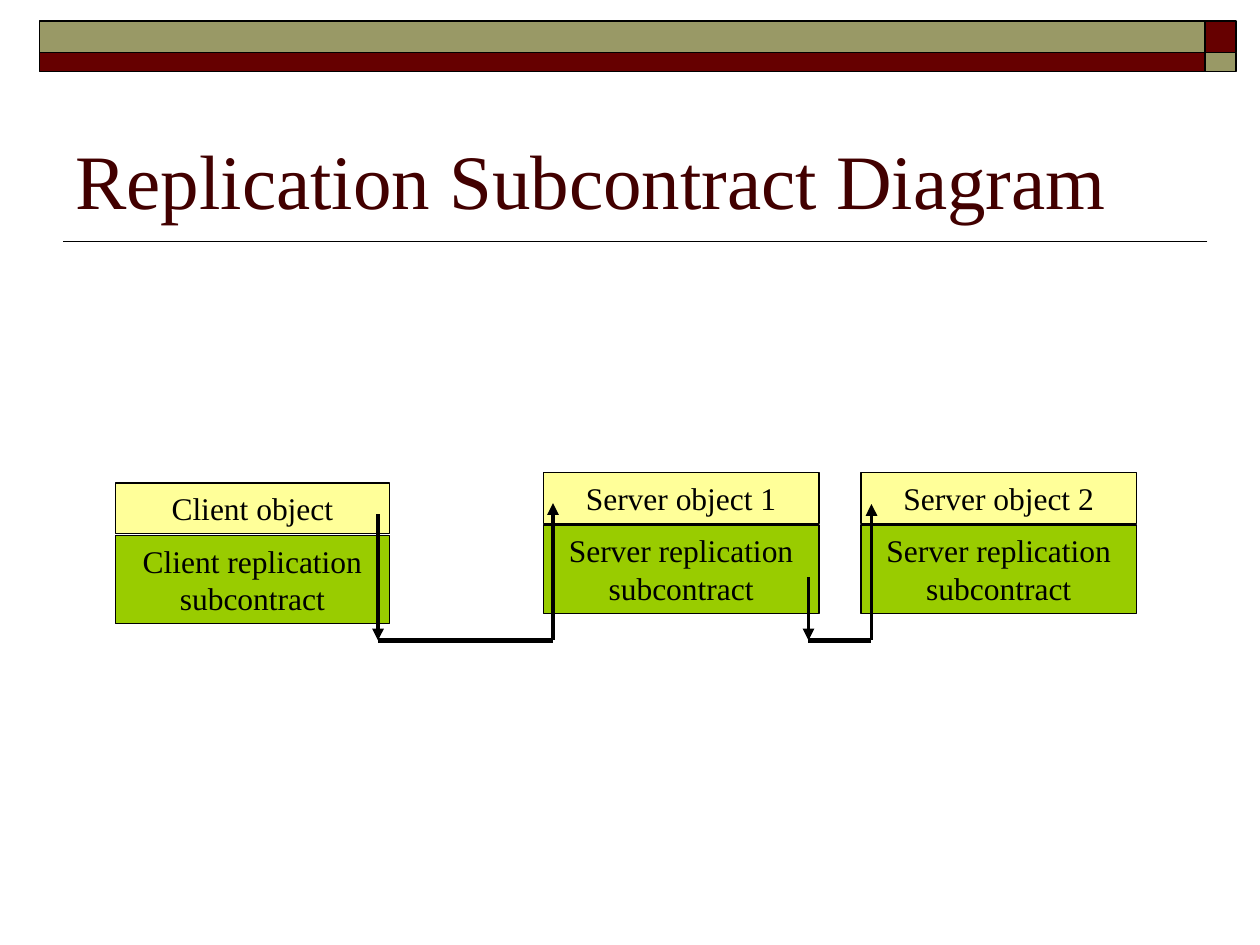
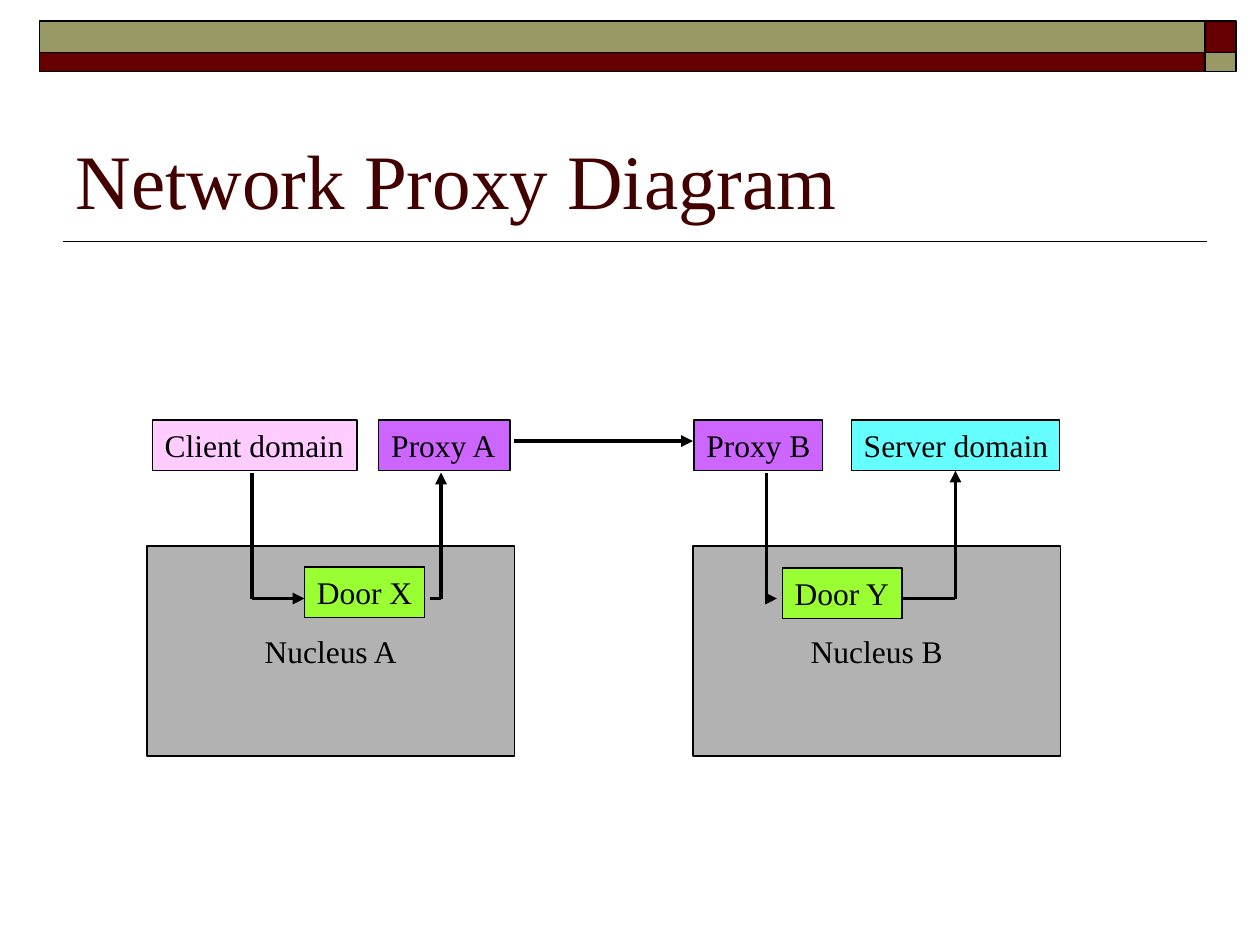
from dataclasses import dataclass

from lxml import etree
from pptx import Presentation
from pptx.dml.color import RGBColor
from pptx.enum import shapes, text
from pptx.oxml import ns
from pptx.util import Pt


@dataclass(frozen=True)
class Theme:
    font: str = "Times New Roman"
    title_size: float = 44
    label_size: float = 18
    ink: str = "000000"
    title: str = "420000"
    olive: str = "999966"
    maroon: str = "660000"
    object: str = "FFFF99"
    subcontract: str = "99CC00"
    nucleus: str = "B2B2B2"
    client: str = "FFCCFF"
    server: str = "66FFFF"
    proxy: str = "CC66FF"
    door: str = "99FF33"
    box_line: float = 0.75
    band_line: float = 1
    arrow_line: float = 2.25
    base_line: float = 3


THEME = Theme()
CENTER, LEFT = text.PP_ALIGN.CENTER, text.PP_ALIGN.LEFT
BOX_H = 29


def rgb(value):
    return RGBColor.from_string(value)


def style_text(tf, size, color, align):
    for p in tf.paragraphs:
        p.alignment = align
        p.font.name = THEME.font
        p.font.size = Pt(size)
        p.font.color.rgb = rgb(color)


def add_rect(s, x, y, w, h, fill, weight):
    sp = s.shapes.add_shape(shapes.MSO_SHAPE.RECTANGLE, Pt(x), Pt(y), Pt(w), Pt(h))
    sp.shadow.inherit = False
    sp.fill.solid()
    sp.fill.fore_color.rgb = rgb(fill)
    sp.line.color.rgb = rgb(THEME.ink)
    sp.line.width = Pt(weight)
    return sp


def add_box(s, label, x, y, w, h, fill, align=CENTER, anchor=text.MSO_ANCHOR.TOP, wrap=False):
    sp = add_rect(s, x, y, w, h, fill, THEME.box_line)
    tf = sp.text_frame
    tf.text = label
    tf.word_wrap = wrap
    tf.vertical_anchor = anchor
    style_text(tf, THEME.label_size, THEME.ink, align)
    return sp


def add_line(s, start, end, weight=THEME.arrow_line, arrow=False):
    ends = [Pt(v) for v in (*start, *end)]
    cn = s.shapes.add_connector(shapes.MSO_CONNECTOR.STRAIGHT, *ends)
    cn.line.color.rgb = rgb(THEME.ink)
    cn.line.width = Pt(weight)
    sp_pr = cn.element.spPr
    etree.SubElement(sp_pr, ns.qn("a:effectLst"))
    if arrow:
        ln = sp_pr.find(ns.qn("a:ln"))
        etree.SubElement(ln, ns.qn("a:tailEnd"), type="triangle")
    return cn


def add_slide(prs, title):
    s = prs.slides.add_slide(prs.slide_layouts[5])
    sp = s.shapes.title
    sp.left, sp.top, sp.width, sp.height = Pt(36), Pt(42), Pt(648), Pt(90)
    tf = sp.text_frame
    tf.text = title
    tf.word_wrap = True
    tf.auto_size = text.MSO_AUTO_SIZE.NONE
    tf.vertical_anchor = text.MSO_ANCHOR.BOTTOM
    style_text(tf, THEME.title_size, THEME.title, LEFT)
    return s


def move_bands_to_layout(s):
    left, split = 22.5, 688.5
    parts = [add_line(s, (690, 138), (36, 138), THEME.band_line)]
    rows = ((12, 18, THEME.olive, THEME.maroon), (30, 11, THEME.maroon, THEME.olive))
    for y, h, band, corner in rows:
        parts.append(add_rect(s, left, y, split - left, h, band, THEME.band_line))
        parts.append(add_rect(s, split, y, 18, h, corner, THEME.band_line))
    for part in parts:
        s.slide_layout.shapes.element.append(part.element)


def add_object_stack(s, name, subcontract, x, y, w):
    add_box(s, name, x, y, w, BOX_H, THEME.object, wrap=True)
    add_box(s, subcontract, x, y + 30, w, 50.5, THEME.subcontract, wrap=True)


def add_call(s, x1, y1, x2, y2, base=366):
    add_line(s, (x1, y1), (x1, base), arrow=True)
    add_line(s, (x1, base), (x2, base), THEME.base_line)
    add_line(s, (x2, base), (x2, y2), arrow=True)


def draw_replication(s):
    add_object_stack(s, "Client object", "Client replication\nsubcontract", 66, 276, 156.5)
    for number, x in ((1, 310.5), (2, 492)):
        add_object_stack(s, f"Server object {number}", "Server replication subcontract",
                         x, 270, 157.5)
    add_call(s, 216, 294, 316, 287.5)
    add_call(s, 462, 330, 498, 288)


def draw_proxies(s):
    for name, x in (("Nucleus A", 84), ("Nucleus B", 396)):
        add_box(s, name, x, 312, 210, 120, THEME.nucleus, anchor=text.MSO_ANCHOR.MIDDLE)
    endpoints = (
        ("Client domain", 87, 240, 117, THEME.client),
        ("Proxy A", 216.5, 240, 75, THEME.proxy),
        ("Proxy B", 396.5, 240, 73.5, THEME.proxy),
        ("Server domain", 486.5, 240, 119, THEME.server),
        ("Door X", 174, 324, 68.5, THEME.door),
        ("Door Y", 447, 324.5, 68.5, THEME.door),
    )
    boxes = {name: add_box(s, name, x, y, w, BOX_H, fill, LEFT)
             for name, x, y, w, fill in endpoints}
    top, door_y = 270, 342
    rises = []
    for down_x, door_left, door_right, up_x in ((144, 174, 246, 252), (438, 444, 516, 546)):
        add_line(s, (down_x, top), (down_x, door_y))
        add_line(s, (down_x, door_y), (door_left, door_y), arrow=True)
        add_line(s, (door_right, door_y), (up_x, door_y))
        rises.append(add_line(s, (up_x, door_y), (up_x, top), arrow=True))
    rises[-1].end_connect(boxes["Server domain"], 2)
    add_line(s, (294, 252), (396, 252), arrow=True)


def main():
    prs = Presentation()
    prs.slide_width, prs.slide_height = Pt(720), Pt(540)
    replication = add_slide(prs, "Replication Subcontract Diagram")
    move_bands_to_layout(replication)
    draw_replication(replication)
    draw_proxies(add_slide(prs, "Network Proxy Diagram"))
    prs.save("out.pptx")


if __name__ == "__main__":
    main()
